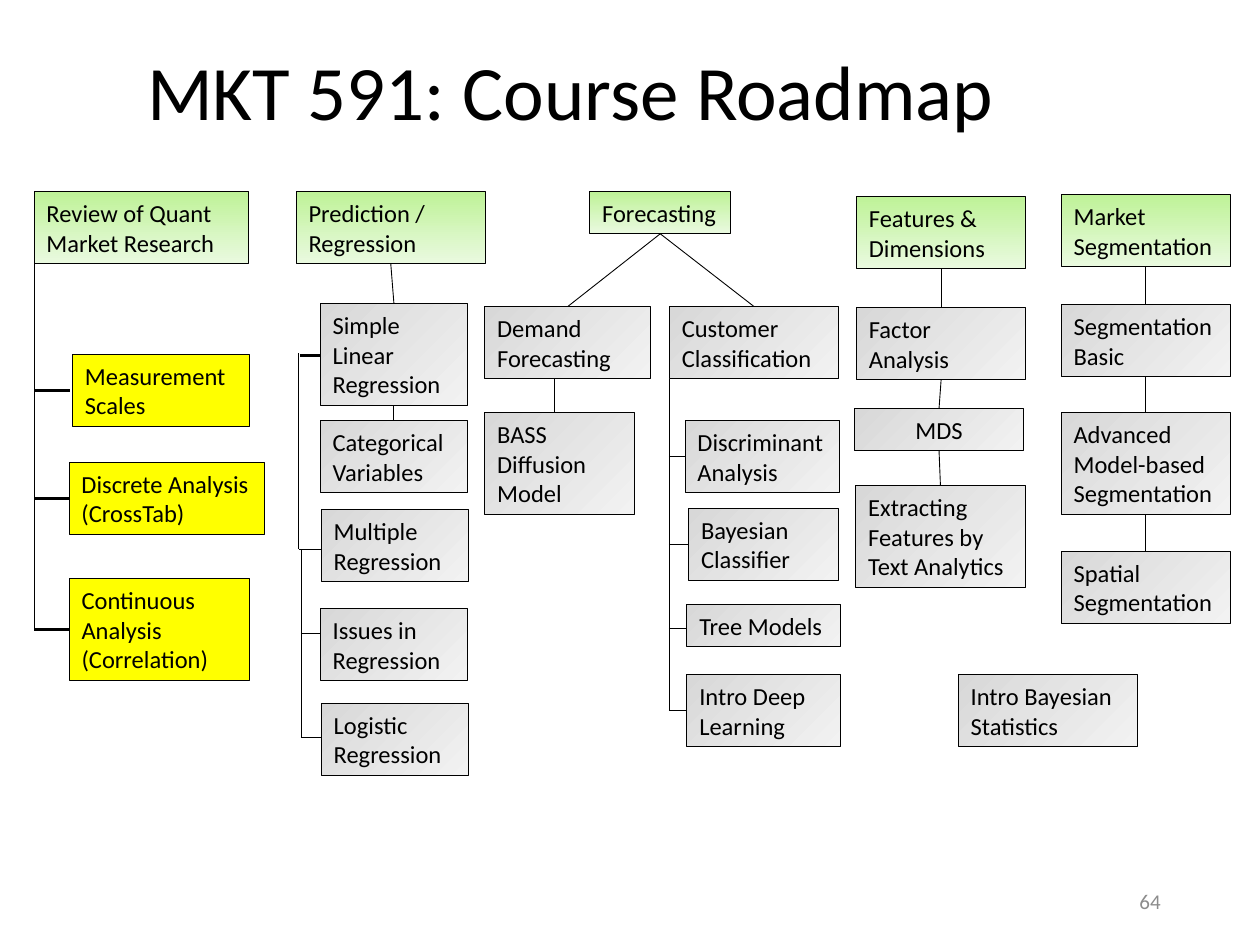
import pptx
import pptx.dml.color
import pptx.enum.shapes
import pptx.enum.text
import pptx.oxml.ns
import pptx.util
from lxml import etree

Pt = pptx.util.Pt
ALIGN = pptx.enum.text.PP_ALIGN

COLORS = {
    "black": "000000",
    "number": "8C8C8C",
    "yellow": "FFFF00",
    "green": ("BEF297", "EAFAE0"),
    "grey": ("D8D8D8", "F2F2F2"),
}
ANGLES = {"green": 270, "grey": 315}


def rgb(value):
    """Turn a hex string into a colour."""
    return pptx.dml.color.RGBColor.from_string(value)


class Roadmap:
    """Hold the style and the current slide."""

    font = "Calibri"
    size = 14
    thin = 0.5
    thick = 1.5

    def __init__(self, prs):
        """Add a blank slide."""
        self.s = prs.slides.add_slide(prs.slide_layouts[6])

    def set_text(self, sp, text, size, color, align):
        """Put one wrapped paragraph in a shape."""
        tf = sp.text_frame
        tf.word_wrap = True
        p = tf.paragraphs[0]
        p.text = text
        p.alignment = align
        p.font.name = self.font
        p.font.size = Pt(size)
        p.font.color.rgb = rgb(COLORS[color])
        tf.vertical_anchor = pptx.enum.text.MSO_ANCHOR.MIDDLE
        return p

    def label(self, x, y, w, h, text, size, color="black", align=ALIGN.LEFT):
        """Add a text box."""
        sp = self.s.shapes.add_textbox(Pt(x), Pt(y), Pt(w), Pt(h))
        return self.set_text(sp, text, size, color, align)

    def box(self, x, y, w, rows, text, color="grey", align=ALIGN.LEFT):
        """Add a topic box as high as its rows of text."""
        sp = self.s.shapes.add_shape(
            pptx.enum.shapes.MSO_SHAPE.RECTANGLE, Pt(x), Pt(y), Pt(w), Pt(7.2 + 17 * rows)
        )
        sp.shadow.inherit = False
        if color in ANGLES:
            sp.fill.gradient()
            sp.fill.gradient_angle = ANGLES[color]
            for stop, value in zip(sp.fill.gradient_stops, COLORS[color]):
                stop.color.rgb = rgb(value)
        else:
            sp.fill.solid()
            sp.fill.fore_color.rgb = rgb(COLORS[color])
        sp.line.color.rgb = rgb(COLORS["black"])
        sp.line.width = Pt(self.thin)
        self.set_text(sp, text, self.size, "black", align)
        return sp

    def line(self, x1, y1, x2, y2, weight=thin):
        """Add a straight line."""
        c = self.s.shapes.add_connector(
            pptx.enum.shapes.MSO_CONNECTOR.STRAIGHT, Pt(x1), Pt(y1), Pt(x2), Pt(y2)
        )
        c.line.color.rgb = rgb(COLORS["black"])
        c.line.width = Pt(weight)
        etree.SubElement(c._element.spPr, pptx.oxml.ns.qn("a:effectLst"))
        return c

    def link(self, upper, lower):
        """Join the bottom of one box to the top of another."""
        c = self.line(0, 0, 0, 0)
        c.begin_connect(upper, 2)
        c.end_connect(lower, 0)

    def chain(self, *boxes):
        """Link boxes from top to bottom."""
        for upper, lower in zip(boxes, boxes[1:]):
            self.link(upper, lower)

    def spine(self, x, top, levels, end, weight=thin):
        """Draw a vertical line with a branch at each level."""
        self.line(x, top, x, levels[-1])
        for y in levels:
            self.line(x, y, end, y, weight)


def main():
    """Build the course roadmap."""
    prs = pptx.Presentation()
    prs.slide_width, prs.slide_height = Pt(720), Pt(540)
    road = Roadmap(prs)

    title = road.label(77, 2.2, 523.4, 104.4, "MKT 591: Course Roadmap", 44)
    title.line_spacing = 0.9
    road.label(508.3, 500.4, 162, 28.8, "64", 12, "number", ALIGN.RIGHT)

    road.spine(19.5, 150.5, [223, 285, 359.6], 40, road.thick)
    road.box(19.5, 109.4, 122.8, 2, "Review of Quant Market Research", "green")
    road.box(41.4, 202.5, 101, 2, "Measurement Scales", "yellow")
    road.box(39.5, 264.2, 111.8, 2, "Discrete Analysis (CrossTab)", "yellow")
    road.box(39.5, 330.5, 102.8, 3, "Continuous Analysis (Correlation)", "yellow")

    road.line(171.4, 203, 182.9, 203, road.thick)
    road.spine(170.8, 202, [314], 183.5)
    road.spine(172, 314, [362.2, 421.4], 183.5)
    prediction = road.box(169.2, 109.4, 108.2, 2, "Prediction / Regression", "green")
    simple = road.box(183, 173.5, 84.2, 3, "Simple Linear Regression")
    categorical = road.box(183, 240.4, 84.2, 2, "Categorical Variables")
    road.box(183.6, 291.2, 84.2, 2, "Multiple Regression")
    road.box(183, 347.8, 84.2, 2, "Issues in Regression")
    road.box(183.6, 401.8, 84.2, 2, "Logistic Regression")
    road.chain(prediction, simple, categorical)

    road.spine(382.3, 199.5, [261, 311, 359.2, 406.1], 393)
    forecasting = road.box(337, 109.4, 80.6, 1, "Forecasting", "green")
    demand = road.box(277, 175.2, 94.8, 2, "Demand Forecasting")
    customer = road.box(382.5, 175.2, 96.8, 2, "Customer Classification")
    road.box(277, 235.8, 85.7, 3, "BASS Diffusion Model")
    road.box(391.5, 240.4, 88, 2, "Discriminant Analysis")
    road.box(393.5, 290.5, 85.8, 2, "Bayesian Classifier")
    road.box(392.5, 345.2, 88, 1, "Tree Models")
    road.box(392.5, 385.6, 88, 2, "Intro Deep Learning")
    road.link(forecasting, demand)
    road.link(forecasting, customer)
    road.line(316.8, 216, 316.8, 235.8)

    features = road.box(489.4, 112.3, 96.8, 2, "Features & Dimensions", "green")
    factor = road.box(489.4, 175.7, 96.8, 2, "Factor Analysis")
    mds = road.box(488.2, 233.4, 96.8, 1, "MDS", align=ALIGN.CENTER)
    extracting = road.box(489, 277.4, 96.8, 3, "Extracting Features by Text Analytics")
    road.chain(features, factor, mds, extracting)

    market = road.box(606.4, 111.2, 96.8, 2, "Market Segmentation", "green")
    basic = road.box(606.4, 174.2, 96.8, 2, "Segmentation Basic")
    advanced = road.box(606.4, 235.8, 96.8, 3, "Advanced Model-based Segmentation")
    spatial = road.box(606.4, 315, 96.8, 2, "Spatial Segmentation")
    road.chain(market, basic, advanced, spatial)
    road.box(547.6, 385.4, 102.6, 2, "Intro Bayesian Statistics")

    prs.save("out.pptx")


if __name__ == "__main__":
    main()
